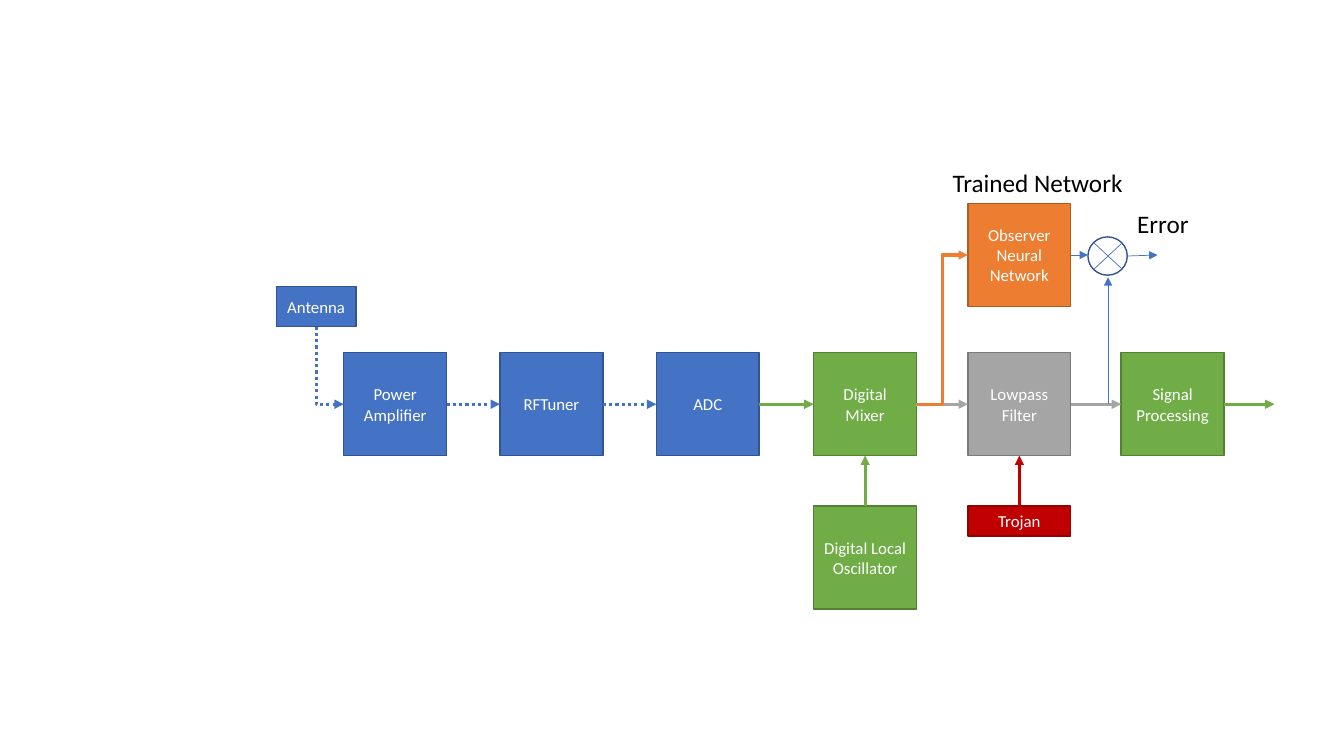
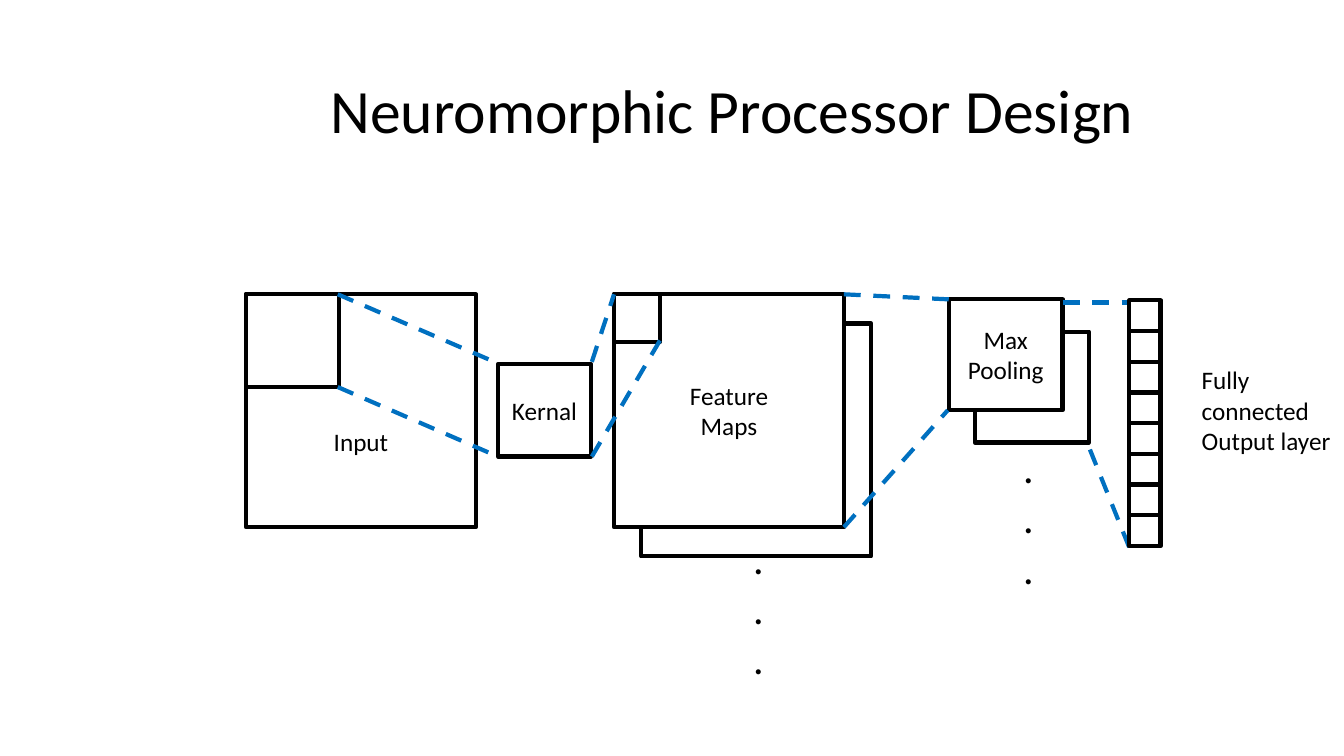
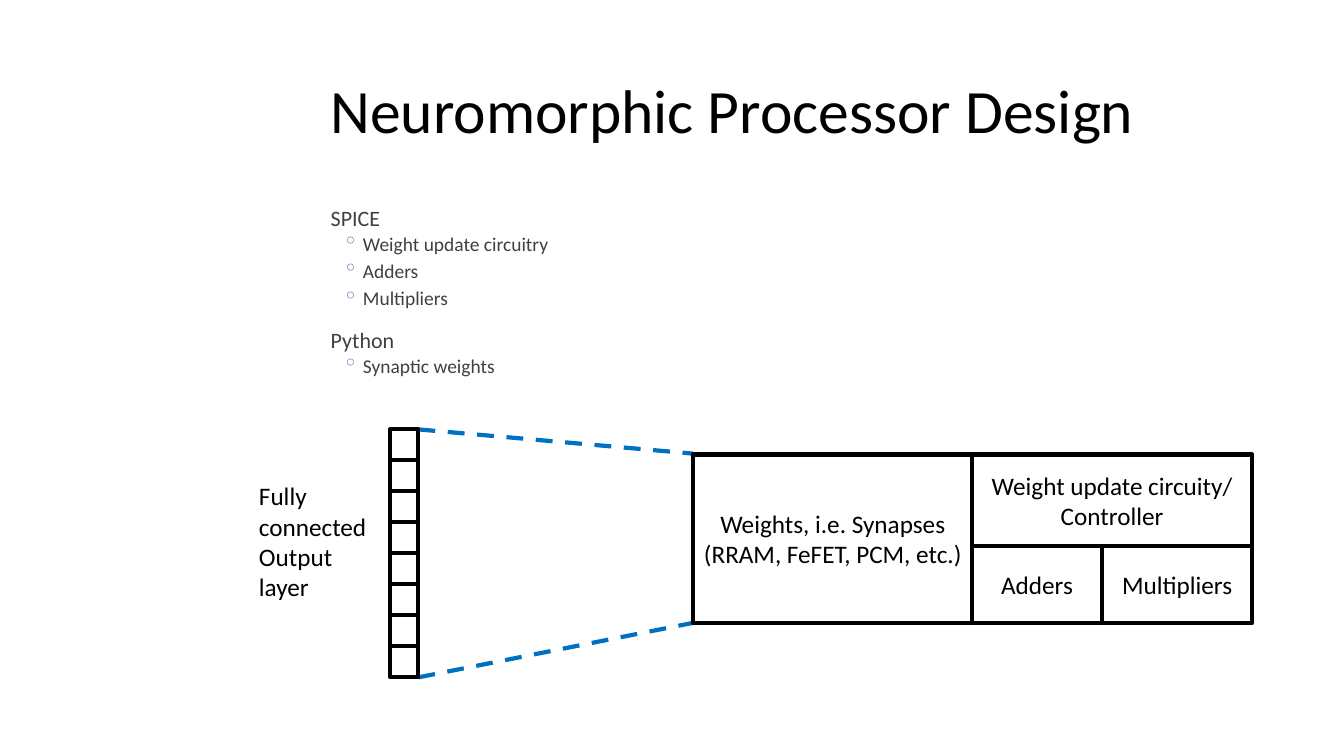
from lxml.etree import SubElement
from pptx import Presentation
from pptx.dml.color import RGBColor
from pptx.enum.dml import MSO_LINE
from pptx.enum.shapes import MSO_CONNECTOR, MSO_SHAPE
from pptx.enum.text import MSO_ANCHOR, PP_ALIGN
from pptx.oxml.ns import qn
from pptx.util import Inches, Pt

FONT = "Calibri"
COLORS = {
    "blue": "4472C4", "blue_edge": "325491",
    "green": "70AD47", "green_edge": "538035",
    "gray": "A5A5A5", "gray_edge": "7A7A7A",
    "orange": "ED7D31", "orange_edge": "AF5C24",
    "red": "C00000", "red_edge": "8F0301",
    "dash": "0070C0", "body": "404040",
    "black": "000000", "white": "FFFFFF",
}
TITLE = "Neuromorphic Processor Design"
TOP, LEFT, BOTTOM, RIGHT = range(4)
SIDE = 1.02
ROW = 3.5

BLOCKS = {
    "amplifier": ("Power Amplifier", "blue", 3.41, ROW, SIDE, SIDE),
    "tuner": ("RFTuner", "blue", 4.96, ROW, SIDE, SIDE),
    "adc": ("ADC", "blue", 6.51, ROW, SIDE, SIDE),
    "antenna": ("Antenna", "blue", 2.74, 2.84, 0.79, 0.4),
    "mixer": ("Digital Mixer", "green", 8.07, ROW, SIDE, SIDE),
    "oscillator": ("Digital Local Oscillator", "green", 8.07, 5.02, SIDE, SIDE),
    "filter": ("Lowpass Filter", "gray", 9.6, ROW, SIDE, SIDE),
    "signal": ("Signal Processing", "green", 11.12, ROW, SIDE, SIDE),
    "observer": ("Observer\nNeural Network", "orange", 9.6, 2.02, SIDE, SIDE),
    "trojan": ("Trojan", "red", 9.6, 5.02, SIDE, 0.3),
}
LINKS = [
    ("amplifier", RIGHT, "tuner", LEFT, "blue", MSO_LINE.ROUND_DOT),
    ("tuner", RIGHT, "adc", LEFT, "blue", MSO_LINE.ROUND_DOT),
    ("adc", RIGHT, "mixer", LEFT, "green", None),
    ("oscillator", TOP, "mixer", BOTTOM, "green", None),
    ("mixer", RIGHT, "filter", LEFT, "gray", None),
    ("filter", RIGHT, "signal", LEFT, "gray", None),
    ("trojan", TOP, "filter", BOTTOM, "red", None),
]
ERROR_LINES = [
    ((10.62, 2.53), (10.79, 2.53), True),
    ((10.99, 4.01), (10.99, 2.75), True),
    ((10.85, 2.41), (11.13, 2.67), False),
    ((11.13, 2.41), (10.85, 2.67), False),
    ((11.18, 2.54), (11.48, 2.53), True),
]
LABELS = [("Error", 11.18, 2.02, 0.95), ("Trained Network", 9.35, 1.61, 2.13)]

LAYERS = [
    ("", 9.67, 3.29, 1.13, 1.1),
    ("", 6.36, 3.21, 2.28, 2.31),
    ("Input", 2.44, 2.92, 2.28, 2.31),
    ("", 2.44, 2.92, 0.92, 0.92),
    ("Feature\nMaps", 6.09, 2.92, 2.28, 2.31),
    ("", 6.09, 2.92, 0.46, 0.47),
    ("Kernal", 4.94, 3.61, 0.92, 0.92),
    ("Max Pooling", 9.41, 2.97, 1.13, 1.1),
]
INPUT_DROP = 0.66
LAYER_RAYS = [
    ((3.35, 2.92), (4.95, 3.61)), ((3.35, 3.84), (4.94, 4.53)),
    ((5.87, 4.53), (6.55, 3.37)), ((5.87, 3.59), (6.09, 2.92)),
    ((8.37, 2.92), (9.41, 2.97)), ((8.37, 5.23), (9.4, 4.07)),
    ((10.54, 3), (11.2, 3)), ((10.81, 4.46), (11.2, 5.43)),
]
DOTS = [(7.37, 5.23), (10.05, 4.33)]

OUTLINE = [
    ("SPICE", ["Weight update circuitry", "Adders", "Multipliers"]),
    ("Python", ["Synaptic weights"]),
]
UNITS = [
    ("Weights, i.e. Synapses\n(RRAM, FeFET, PCM, etc.)", 6.87, 4.51, 2.78, 1.67),
    ("Adders", 9.64, 5.42, 1.29, 0.76),
    ("Multipliers", 10.93, 5.42, 1.49, 0.76),
    ("Weight update circuity/\nController", 9.64, 4.51, 2.78, 0.91),
]
UNIT_RAYS = [((4.15, 6.72), (6.87, 6.18)), ((4.15, 4.26), (6.87, 4.5))]


def rgb(name):
    return RGBColor.from_string(COLORS[name])


def write(tf, text, size=18, color="black", align=PP_ALIGN.LEFT, spacing=None,
          before=None, after=None, indent=0, hang=0, bullet=None):
    for line in text.split("\n"):
        p = tf.add_paragraph() if tf.text else tf.paragraphs[0]
        p.alignment = align
        p.line_spacing = spacing
        p.space_before = before
        p.space_after = after
        r = p.add_run()
        r.text = line
        r.font.name = FONT
        r.font.size = Pt(size)
        r.font.color.rgb = rgb(color)
        if indent:
            pPr = p._p.get_or_add_pPr()
            pPr.set("marL", str(Inches(indent)))
            pPr.set("indent", str(Inches(-hang)))
            if bullet:
                clr = SubElement(pPr, qn("a:buClr"))
                SubElement(clr, qn("a:srgbClr"), val=COLORS["blue"])
                SubElement(pPr, qn("a:buChar"), char=bullet)


def text_box(s, x, y, w, h, text="", anchor=MSO_ANCHOR.TOP, **fmt):
    tf = s.shapes.add_textbox(*map(Inches, (x, y, w, h))).text_frame
    tf.word_wrap = True
    tf.vertical_anchor = anchor
    if text:
        write(tf, text, **fmt)
    return tf


def box(s, text, x, y, w, h, fill="white", edge="black", weight=3,
        kind=MSO_SHAPE.RECTANGLE, **fmt):
    sp = s.shapes.add_shape(kind, *map(Inches, (x, y, w, h)))
    sp.shadow.inherit = False
    if fill:
        sp.fill.solid()
        sp.fill.fore_color.rgb = rgb(fill)
    else:
        sp.fill.background()
    sp.line.color.rgb = rgb(edge)
    sp.line.width = Pt(weight)
    if text:
        sp.text_frame.word_wrap = True
        sp.text_frame.vertical_anchor = MSO_ANCHOR.MIDDLE
        write(sp.text_frame, text, align=PP_ALIGN.CENTER, **fmt)
    return sp


def line(s, start=(0, 0), end=(0, 0), color="dash", weight=3, dash=None,
         arrow=False, kind=MSO_CONNECTOR.STRAIGHT):
    c = s.shapes.add_connector(kind, *map(Inches, (*start, *end)))
    c.line.color.rgb = rgb(color)
    c.line.width = Pt(weight)
    if dash:
        c.line.dash_style = dash
    if arrow:
        SubElement(c.line._get_or_add_ln(), qn("a:tailEnd"), type="triangle")
    SubElement(c._element.spPr, qn("a:effectLst"))
    return c


def link(s, a, a_site, b, b_site, color, dash=None, kind=MSO_CONNECTOR.STRAIGHT):
    c = line(s, color=color, weight=2.25, dash=dash, arrow=True, kind=kind)
    c.begin_connect(a, a_site)
    c.end_connect(b, b_site)
    return c


def turn_down_then_right(c):
    x, y, w, h = c.left, c.top, c.width, c.height
    c.left, c.top = x + (w - h) // 2, y + (h - w) // 2
    c.width, c.height = h, w
    xfrm = c._element.spPr.find(qn("a:xfrm"))
    xfrm.set("rot", "16200000")
    xfrm.set("flipH", "1")
    c._element.spPr.find(qn("a:prstGeom")).set("prst", "bentConnector2")


def title(s):
    text_box(s, 3.18, 0.4, 9.24, 1.45, TITLE, anchor=MSO_ANCHOR.MIDDLE,
             size=44, spacing=0.9)


def rays(s, pairs):
    for start, end in pairs:
        line(s, start, end, dash=MSO_LINE.DASH)


def neurons(s, x, top, bottom, w, count=8, cell=0.31):
    pitch = (bottom - top - cell) / (count - 1)
    for i in range(count):
        box(s, "", x, top + i * pitch, w, cell)


def receiver_slide(s):
    sps = {}
    for name, (text, color, *at) in BLOCKS.items():
        sps[name] = box(s, text, *at, fill=color, edge=color + "_edge",
                        weight=1, size=12, color="white")
    for a, a_site, b, b_site, color, dash in LINKS:
        link(s, sps[a], a_site, sps[b], b_site, color, dash)
    turn_down_then_right(link(s, sps["antenna"], BOTTOM, sps["amplifier"], LEFT,
                              "blue", MSO_LINE.ROUND_DOT, MSO_CONNECTOR.ELBOW))
    link(s, sps["mixer"], RIGHT, sps["observer"], LEFT, "orange",
         kind=MSO_CONNECTOR.ELBOW)
    line(s, (12.14, 4.01), (12.64, 4.01), "green", 2.25, arrow=True)
    box(s, "", 10.79, 2.35, 0.39, 0.38, fill=None, edge="blue_edge", weight=1,
        kind=MSO_SHAPE.OVAL)
    for start, end, arrow in ERROR_LINES:
        line(s, start, end, "blue", 0.5, arrow=arrow)
    for text, x, y, w in LABELS:
        text_box(s, x, y, w, 0.4, text)


def layers_slide(s):
    title(s)
    for text, *at in LAYERS:
        sp = box(s, text, *at)
        if text == "Input":
            sp.text_frame.margin_top = Inches(INPUT_DROP)
    rays(s, LAYER_RAYS)
    for x, y in DOTS:
        text_box(s, x, y, 0.31, 1.6, ".\n.\n.", size=30)
    text_box(s, 11.82, 3.57, 1.51, 1, "Fully connected Output layer")
    neurons(s, 11.2, 2.98, 5.42, 0.31)


def hardware_slide(s):
    title(s)
    rays(s, UNIT_RAYS)
    text_box(s, 2.47, 4.72, 1.39, 1.31, "Fully connected\nOutput layer")
    neurons(s, 3.87, 4.26, 6.72, 0.28)
    for unit in UNITS:
        box(s, *unit)
    tf = text_box(s, 3.18, 2.03, 9.24, 1.88)
    tf.margin_left = tf.margin_right = 0
    for heading, items in OUTLINE:
        write(tf, heading, size=15.7, color="body", spacing=0.8,
              before=Pt(12), after=Pt(2), indent=0.1)
        write(tf, "\n".join(items), size=13.9, color="body", spacing=0.8,
              before=Pt(2), after=Pt(4), indent=0.42, hang=0.2, bullet="◦")


def main():
    prs = Presentation()
    prs.slide_width, prs.slide_height = Inches(13.33), Inches(7.5)
    for build in (receiver_slide, layers_slide, hardware_slide):
        build(prs.slides.add_slide(prs.slide_layouts[6]))
    prs.save("out.pptx")


if __name__ == "__main__":
    main()
